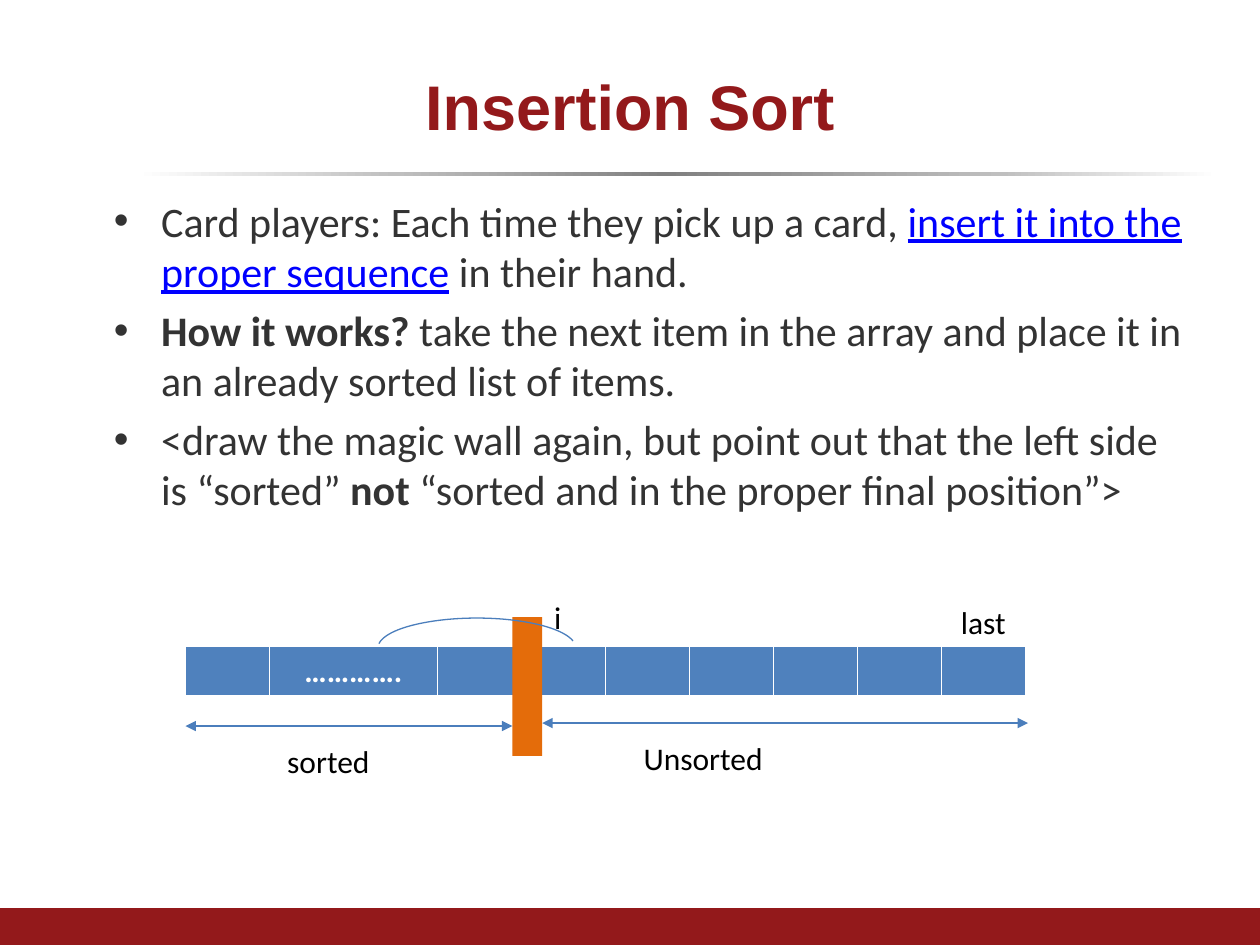
from lxml.etree import SubElement
from pptx import Presentation
from pptx.dml.color import RGBColor
from pptx.enum.shapes import MSO_CONNECTOR, MSO_SHAPE
from pptx.enum.text import MSO_ANCHOR, MSO_AUTO_SIZE, PP_ALIGN
from pptx.oxml.ns import qn
from pptx.util import Pt

COLORS = {
    "maroon": "93191B", "text": "333333", "link": "0000FF", "black": "000000",
    "white": "FFFFFF", "silver": "BFBFBF", "gray": "808080",
    "cell": "4F81BD", "line": "4B7EBC", "wall": "E46C0A",
}
RULE_STOPS = [(0, "white"), (24, "silver"), (49, "gray"), (80, "silver"), (100, "white")]
BULLETS = [
    [("Card players: Each time they pick up a card, ", None),
     ("insert it into the proper sequence", "link"), (" in their hand.", None)],
    [("How it works?", "bold"),
     (" take the next item in the array and place it in an already sorted list of items.", None)],
    [("<draw the magic wall again, but point out that the left side is “sorted” ", None),
     ("not", "bold"), (" “sorted and in the proper final position”>", None)],
]
ARRAY_LEFT, ARRAY_TOP, CELL_WIDTH, CELL_HEIGHT = 106, 369.4, 48, 29.2
CELL_SPANS = [1, 2, 1, 1, 1, 1, 1, 1, 1]
WALL_LEFT, WALL_WIDTH = 292.8, 17


def rgb(name):
    return RGBColor.from_string(COLORS[name])


def points(*lengths):
    return [Pt(length) for length in lengths]


def set_font(font, size, color, name="Calibri", bold=False):
    font.size, font.name, font.bold = Pt(size), name, bold
    font.color.rgb = rgb(color)


def add_block(slide, box, color=None):
    shape = slide.shapes.add_shape(MSO_SHAPE.RECTANGLE, *points(*box))
    shape.shadow.inherit = False
    shape.line.fill.background()
    if color:
        shape.fill.solid()
        shape.fill.fore_color.rgb = rgb(color)
    return shape


def add_gradient_rule(slide, box):
    shape = add_block(slide, box)
    shape.fill.gradient()
    shape.fill.gradient_angle = 0
    stop_list = shape._element.spPr.find(qn("a:gradFill")).find(qn("a:gsLst"))
    for stop in list(stop_list):
        stop_list.remove(stop)
    for percent, color in RULE_STOPS:
        stop = SubElement(stop_list, qn("a:gs"), pos=str(percent * 1000))
        SubElement(stop, qn("a:srgbClr"), val=COLORS[color])


def add_text_frame(slide, box, wrap=True):
    frame = slide.shapes.add_textbox(*points(*box)).text_frame
    frame.word_wrap = wrap
    return frame


def add_title(slide, text, box):
    frame = add_text_frame(slide, box)
    frame.vertical_anchor = MSO_ANCHOR.MIDDLE
    paragraph = frame.paragraphs[0]
    paragraph.text = text
    paragraph.alignment = PP_ALIGN.CENTER
    set_font(paragraph.font, 36, "maroon", "Arial", True)


def add_label(slide, text, box, wrap=True):
    frame = add_text_frame(slide, box, wrap)
    frame.auto_size = MSO_AUTO_SIZE.SHAPE_TO_FIT_TEXT
    paragraph = frame.paragraphs[0]
    paragraph.text = text
    set_font(paragraph.font, 18, "black")


def add_bullets(slide, items, box):
    frame = add_text_frame(slide, box)
    for index, item in enumerate(items):
        paragraph = frame.add_paragraph() if index else frame.paragraphs[0]
        paragraph.space_before = Pt(4.8)
        properties = paragraph._p.get_or_add_pPr()
        properties.set("marL", str(Pt(49)))
        properties.set("indent", str(-Pt(27)))
        SubElement(properties, qn("a:buFont"), typeface="Arial")
        SubElement(properties, qn("a:buChar"), char="•")
        for text, style in item:
            run = paragraph.add_run()
            run.text = text
            is_link = style == "link"
            set_font(run.font, 24, "link" if is_link else "text", bold=style == "bold")
            run.font.underline = is_link


def style_cell(cell):
    properties = cell._tc.get_or_add_tcPr()
    for side, width in (("L", 1), ("R", 1), ("T", 1), ("B", 3)):
        border = SubElement(properties, qn(f"a:ln{side}"), w=str(Pt(width)))
        fill = SubElement(border, qn("a:solidFill"))
        SubElement(fill, qn("a:srgbClr"), val=COLORS["white"])
    cell.fill.solid()
    cell.fill.fore_color.rgb = rgb("cell")
    paragraph = cell.text_frame.paragraphs[0]
    paragraph.alignment = PP_ALIGN.CENTER
    set_font(paragraph.font, 18, "white", bold=True)


def add_array(slide):
    box = (ARRAY_LEFT, ARRAY_TOP, CELL_WIDTH * sum(CELL_SPANS), CELL_HEIGHT)
    table = slide.shapes.add_table(1, len(CELL_SPANS), *points(*box)).table
    table.first_row = table.horz_banding = False
    table.cell(0, 1).text = "…………."
    for index, span in enumerate(CELL_SPANS):
        table.columns[index].width = Pt(CELL_WIDTH * span)
        style_cell(table.cell(0, index))


def add_double_arrow(slide, left, right, y):
    connector = slide.shapes.add_connector(
        MSO_CONNECTOR.STRAIGHT, *points(left, y, right, y))
    connector.line.width = Pt(1.5)
    connector.line.color.rgb = rgb("line")
    outline = connector.line._get_or_add_ln()
    for end in ("headEnd", "tailEnd"):
        SubElement(outline, qn(f"a:{end}"), type="triangle")
    SubElement(connector._element.spPr, qn("a:effectLst"))


def add_arc(slide, box, start_degrees, end_degrees):
    arc = slide.shapes.add_shape(MSO_SHAPE.ARC, *points(*box))
    arc.shadow.inherit = False
    arc.adjustments[0] = start_degrees * 0.6
    arc.adjustments[1] = end_degrees * 0.6
    arc.fill.background()
    arc.line.color.rgb = rgb("line")
    arc.line.width = Pt(0.75)


def main():
    presentation = Presentation()
    presentation.slide_width, presentation.slide_height = points(720, 540)
    slide = presentation.slides.add_slide(presentation.slide_layouts[6])

    add_gradient_rule(slide, (77.8, 98.4, 617.8, 2.2))
    add_block(slide, (0, 519, 720, 21), "maroon")
    add_title(slide, "Insertion Sort", (36, 21.6, 648, 77))
    add_bullets(slide, BULLETS, (36, 108, 648, 408))

    add_array(slide)
    add_block(slide, (WALL_LEFT, 352.6, WALL_WIDTH, 79.4), "wall")
    add_double_arrow(slide, ARRAY_LEFT, WALL_LEFT, 414.9)
    add_label(slide, "sorted", (157, 420.5, 79, 29))
    add_double_arrow(slide, WALL_LEFT + WALL_WIDTH, 587.5, 413.2)
    add_label(slide, "Unsorted", (360.7, 418.8, 124.6, 29))
    add_arc(slide, (216, 353.2, 113, 34), 182.43, 355.92)
    add_label(slide, "i", (309.6, 337.9, 18.9, 29), False)
    add_label(slide, "last", (542, 341, 40.5, 29), False)

    presentation.save("out.pptx")


main()
